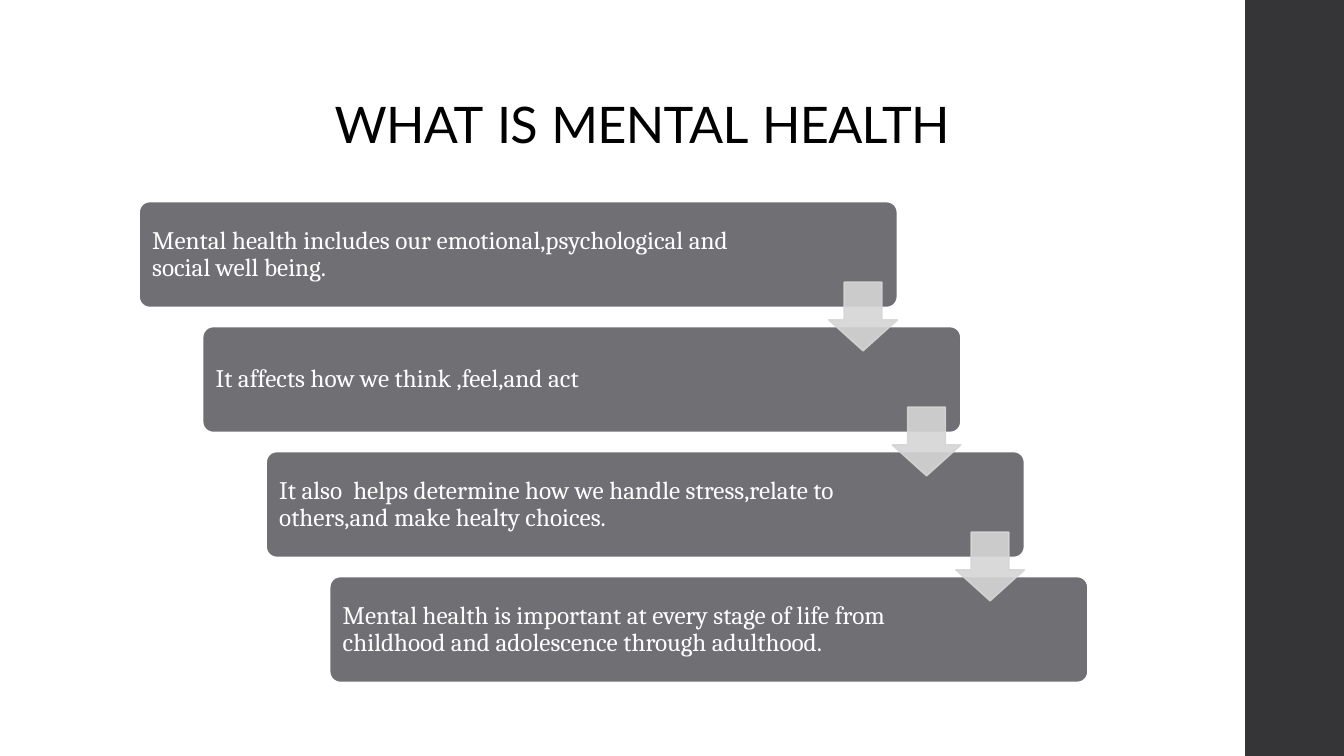
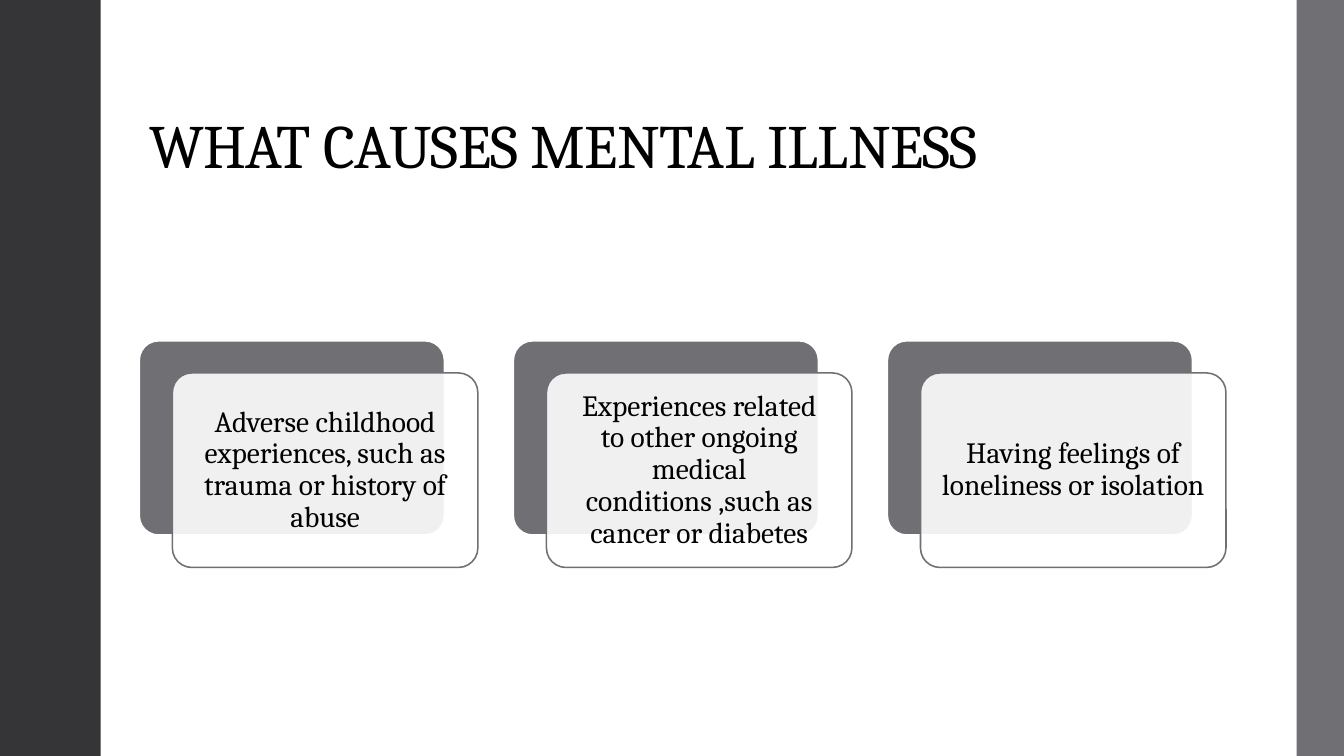
"""Build two slides on what mental health is and what causes mental illness."""
import pptx
import pptx.util
import pptx.dml.color
import pptx.enum.shapes
import pptx.enum.text
import pptx.oxml
import pptx.oxml.ns

Inches, Pt = pptx.util.Inches, pptx.util.Pt
RGBColor = pptx.dml.color.RGBColor
PRESET = pptx.enum.shapes.MSO_SHAPE
ALIGN = pptx.enum.text.PP_ALIGN
ANCHOR = pptx.enum.text.MSO_ANCHOR

BLACK = RGBColor(0x00, 0x00, 0x00)
WHITE = RGBColor(0xFF, 0xFF, 0xFF)
CHARCOAL = RGBColor(0x35, 0x35, 0x37)
GREY = RGBColor(0x6F, 0x6F, 0x74)
SILVER = RGBColor(0xD5, 0xD5, 0xD6)
SERIF, SANS = "Cambria", "Lato"
WIDTH, HEIGHT = 13.33, 7.5
LEFT = 1.38
TITLE_HEIGHT = 1.45
LINE_SPACING = 0.9


def add_block(slide, preset, box, fill, line=None, line_width=1.1, opacity=100, adjust=()):
    block = slide.shapes.add_shape(preset, *[Inches(length) for length in box])
    block.shadow.inherit = False
    for index, value in enumerate(adjust):
        block.adjustments[index] = value
    block.fill.solid()
    block.fill.fore_color.rgb = fill
    if line is None:
        block.line.fill.background()
    else:
        block.line.color.rgb = line
        block.line.width = Pt(line_width)
    if opacity < 100:
        for color in block.fill._xPr.iter(pptx.oxml.ns.qn("a:srgbClr")):
            if line == fill or color.getparent().getparent().tag == pptx.oxml.ns.qn("p:spPr"):
                alpha = color.makeelement(pptx.oxml.ns.qn("a:alpha"), {"val": str(opacity * 1000)})
                color.append(alpha)
    return block


def write(block, text, size, color, align, insets):
    frame = block.text_frame
    frame.word_wrap = True
    frame.vertical_anchor = ANCHOR.MIDDLE
    frame.margin_left, frame.margin_right, frame.margin_top, frame.margin_bottom = map(Inches, insets)
    frame.text = text
    paragraph = frame.paragraphs[0]
    paragraph.alignment = align
    paragraph.line_spacing = LINE_SPACING
    font = paragraph.runs[0].font
    font.name, font.size, font.color.rgb = SERIF, Pt(size), color


deck = pptx.Presentation()
deck.slide_width, deck.slide_height = Inches(WIDTH), Inches(HEIGHT)

word, gap = (SANS, 36), (SERIF, 44)
pages = [
    {
        "bands": [(12.35, 1, CHARCOAL)],
        "title_box": (3.22, 0.15, 7.19, TITLE_HEIGHT),
        "title": [("WHAT", word), (" ", gap), ("IS", word), (" ", gap),
                  ("MENTAL", word), (" ", gap), ("HEALTH", word)],
    },
    {
        "bands": [(0, 1, CHARCOAL), (12.86, WIDTH - 12.86, GREY)],
        "title_box": (LEFT, 0.4, 10.78, TITLE_HEIGHT),
        "title": [("WHAT CAUSES MENTAL ILLNESS", gap)],
    },
]
for page in pages:
    slide = deck.slides.add_slide(deck.slide_layouts[6])
    for left, width, color in page["bands"]:
        add_block(slide, PRESET.RECTANGLE, (left, 0, width, HEIGHT), color)
    title = slide.shapes.add_textbox(*[Inches(length) for length in page["title_box"]])
    title.text_frame.word_wrap = True
    title.text_frame.vertical_anchor = ANCHOR.BOTTOM
    heading = title.text_frame.paragraphs[0]
    heading.line_spacing = LINE_SPACING
    for text, (font_name, size) in page["title"]:
        run = heading.add_run()
        run.text = text
        run.font.name, run.font.size, run.font.color.rgb = font_name, Pt(size), BLACK
        run.font._element.set("spc", "-50")
definition_slide, causes_slide = deck.slides

statements = [
    "Mental health includes our emotional,psychological and social well being.",
    "It affects how we think ,feel,and act",
    "It also  helps determine how we handle stress,relate to others,and make healty choices.",
    "Mental health is important at every stage of life from childhood and adolescence through adulthood.",
]
STEP_X, STEP_Y = 0.63, 1.24
STAIR_WIDTH, STAIR_HEIGHT, ARROW = 7.52, 1.05, 0.68
for row, statement in enumerate(statements):
    stair = add_block(definition_slide, PRESET.ROUNDED_RECTANGLE,
                      (LEFT + row * STEP_X, 2 + row * STEP_Y, STAIR_WIDTH, STAIR_HEIGHT),
                      GREY, WHITE, adjust=[0.1])
    write(stair, statement, 18, WHITE, ALIGN.LEFT, (0.1, 1.41, 0.1, 0.1))
for row in range(len(statements) - 1):
    add_block(definition_slide, PRESET.DOWN_ARROW,
              (LEFT + STAIR_WIDTH - ARROW + row * STEP_X, 2.8 + row * STEP_Y, ARROW, ARROW),
              SILVER, SILVER, opacity=90, adjust=[0.55, 0.45])

causes = [
    "Adverse childhood experiences, such as trauma or history of abuse",
    "Experiences related to other ongoing medical conditions ,such as cancer or diabetes",
    "Having feelings of loneliness or isolation",
]
CARD_WIDTH, CARD_HEIGHT, CARD_TOP, CARD_PITCH = 3.03, 1.93, 3.38, 3.71
OFFSET_X, OFFSET_Y = 0.33, 0.32
for column, cause in enumerate(causes):
    left = LEFT + column * CARD_PITCH
    add_block(causes_slide, PRESET.ROUNDED_RECTANGLE, (left, CARD_TOP, CARD_WIDTH, CARD_HEIGHT),
              GREY, WHITE, 1.35, adjust=[0.1])
    card = add_block(causes_slide, PRESET.ROUNDED_RECTANGLE,
                     (left + OFFSET_X, CARD_TOP + OFFSET_Y, CARD_WIDTH, CARD_HEIGHT),
                     WHITE, GREY, opacity=90, adjust=[0.1])
    write(card, cause, 21, BLACK, ALIGN.CENTER, [0.15] * 4)

deck.save("out.pptx")
